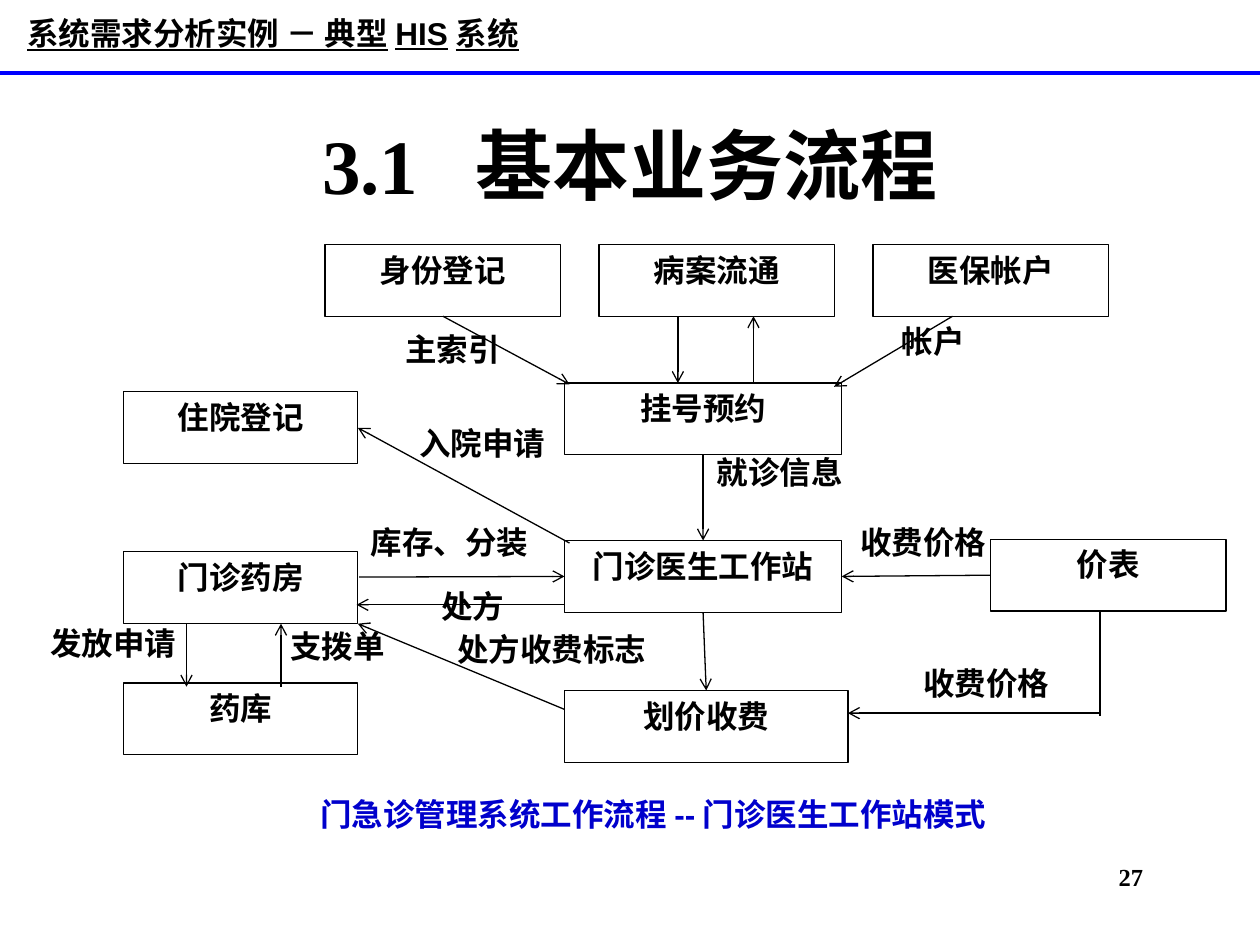
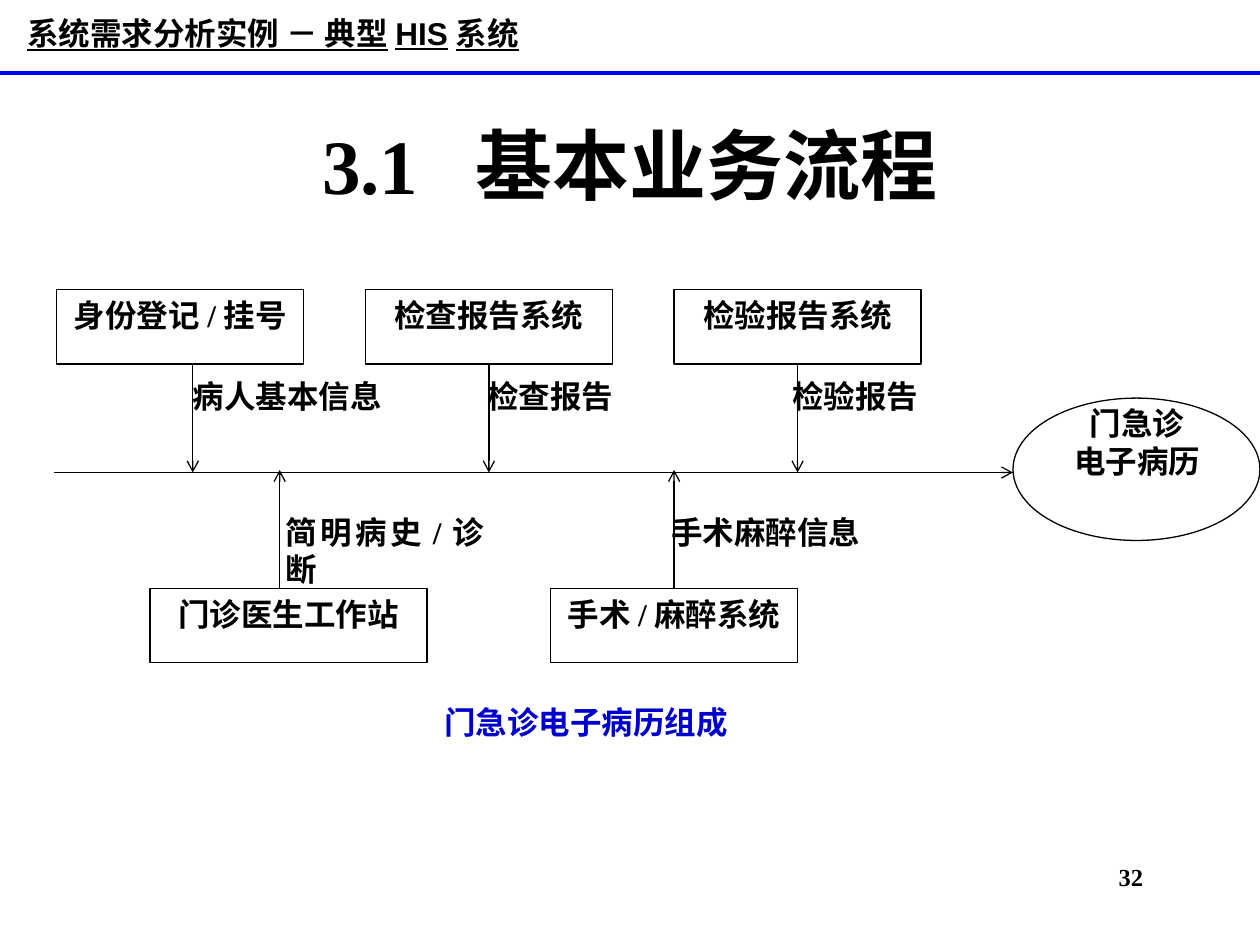
from dataclasses import dataclass
from typing import NamedTuple, Optional, Union

from lxml.etree import SubElement
from pptx import Presentation
from pptx.dml.color import RGBColor
from pptx.enum.shapes import MSO_CONNECTOR, MSO_SHAPE
from pptx.enum.text import MSO_ANCHOR, PP_ALIGN
from pptx.oxml.ns import qn
from pptx.util import Inches, Pt

BLACK, RULE_BLUE, CAPTION_BLUE = "000000", "0000FF", "0000CC"
SERIF, SANS = "Times New Roman", "Arial"
LEFT, CENTER, RIGHT, JUSTIFY = (
    PP_ALIGN.LEFT, PP_ALIGN.CENTER, PP_ALIGN.RIGHT, PP_ALIGN.JUSTIFY)
TOP_SIDE, LEFT_SIDE, BOTTOM_SIDE, RIGHT_SIDE = range(4)

HEADER = "系统需求分析实例 － 典型HIS系统"
TITLE = "3.1  基本业务流程"


class Point(NamedTuple):
    x: float
    y: float


class Joint(NamedTuple):
    """The middle of one side of a named box."""
    box: str
    side: int


@dataclass(frozen=True)
class FlowBox:
    text: str
    left: float
    top: float
    width: float
    height: float = 0.57


@dataclass(frozen=True)
class Label:
    text: str
    left: float
    top: float
    width: float
    align: PP_ALIGN = JUSTIFY
    height: float = 0.5


@dataclass(frozen=True)
class Link:
    start: Union[Point, Joint]
    end: Union[Point, Joint]
    arrow: bool = True


def color(value: str) -> RGBColor:
    return RGBColor.from_string(value)


def add_span(para, text: str, *, size: float = 18, font: str = SERIF,
             fill: str = BLACK, underline: Optional[bool] = None) -> None:
    span = para.add_run()
    span.text = text
    span.font.name = font
    span.font.size = Pt(size)
    span.font.bold = True
    span.font.underline = underline
    span.font.color.rgb = color(fill)


def add_text(page, text: str, left: float, top: float, width: float, height: float, *,
             align: PP_ALIGN = CENTER, anchor: MSO_ANCHOR = MSO_ANCHOR.TOP,
             wrap: bool = True, **span_format):
    """Add a text box, one paragraph per line, and return its last paragraph."""
    box = page.shapes.add_textbox(*map(Inches, (left, top, width, height)))
    frame = box.text_frame
    frame.word_wrap = wrap
    frame.vertical_anchor = anchor
    for index, line in enumerate(text.split("\n")):
        para = frame.add_paragraph() if index else frame.paragraphs[0]
        para.alignment = align
        add_span(para, line, **span_format)
    return para


def add_outline(page, kind: MSO_SHAPE, left: float, top: float,
                width: float, height: float):
    shape = page.shapes.add_shape(kind, *map(Inches, (left, top, width, height)))
    shape.shadow.inherit = False
    shape.fill.background()
    shape.line.color.rgb = color(BLACK)
    shape.line.width = Pt(0.75)
    return shape


def add_flow_box(page, item: FlowBox):
    box = add_outline(page, MSO_SHAPE.RECTANGLE,
                      item.left, item.top, item.width, item.height)
    frame = box.text_frame
    frame.word_wrap = True
    frame.vertical_anchor = MSO_ANCHOR.TOP
    para = frame.paragraphs[0]
    para.alignment = CENTER
    add_span(para, item.text)
    return box


def add_line(page, start: Point, end: Point, *, fill: str = BLACK,
             width: float = 0.75, arrow: bool = False):
    line = page.shapes.add_connector(
        MSO_CONNECTOR.STRAIGHT, *map(Inches, (*start, *end)))
    line.line.color.rgb = color(fill)
    line.line.width = Pt(width)
    properties = line._element.spPr
    if arrow:
        SubElement(properties.find(qn("a:ln")), qn("a:tailEnd"), type="arrow")
    SubElement(properties, qn("a:effectLst"))
    return line


def add_link(page, link: Link, boxes: dict) -> None:
    """Draw a line, joining each end that names a box."""
    ends = [Point(0, 0) if isinstance(end, Joint) else end
            for end in (link.start, link.end)]
    line = add_line(page, *ends, arrow=link.arrow)
    if isinstance(link.start, Joint):
        line.begin_connect(boxes[link.start.box], link.start.side)
    if isinstance(link.end, Joint):
        line.end_connect(boxes[link.end.box], link.end.side)


def add_page(deck, number: int):
    """Add a slide with the shared header, rule, title and page number."""
    page = deck.slides.add_slide(deck.slide_layouts[6])
    add_line(page, Point(0, 0.58), Point(10, 0.58), fill=RULE_BLUE, width=2.25)
    add_text(page, HEADER, 0.04, 0.08, 4.25, 0.36, anchor=MSO_ANCHOR.MIDDLE,
             wrap=False, font=SANS, underline=True)
    add_text(page, TITLE, 0.75, 0.67, 8.5, 1.25, anchor=MSO_ANCHOR.MIDDLE, size=44)
    add_text(page, str(number), 7.09, 6.79, 2.08, 0.5, align=RIGHT, size=14)
    return page


def add_diagram(page, flow_boxes: list, labels: list, links: list) -> None:
    for label in labels:
        add_text(page, label.text, label.left, label.top, label.width,
                 label.height, align=label.align)
    boxes = {item.text: add_flow_box(page, item) for item in flow_boxes}
    for link in links:
        add_link(page, link, boxes)


def build_clinic_flow(deck) -> None:
    page = add_page(deck, 27)
    sources = ["身份登记", "病案流通", "医保帐户"]
    flow_boxes = [FlowBox(text, 2.58 + 2.175 * column, 1.94, 1.87)
                  for column, text in enumerate(sources)]
    flow_boxes += [FlowBox(text, 0.98, top, 1.86) for text, top in
                   [("住院登记", 3.11), ("门诊药房", 4.38), ("药库", 5.42)]]
    flow_boxes += [FlowBox(text, 4.48, top, width) for text, top, width in
                   [("挂号预约", 3.04, 2.2), ("门诊医生工作站", 4.29, 2.2),
                    ("划价收费", 5.48, 2.25)]]
    flow_boxes.append(FlowBox("价表", 7.86, 4.28, 1.87))
    labels = [
        Label("主索引", 2.81, 2.57, 1.56, CENTER),
        Label("帐户", 7.06, 2.51, 1.24),
        Label("入院申请", 3.23, 3.32, 1.34),
        Label("就诊信息", 5.59, 3.55, 1.34),
        Label("库存、分装", 2.81, 4.1, 1.48, RIGHT),
        Label("处方", 3.23, 4.61, 0.87, RIGHT),
        Label("收费价格", 6.73, 4.1, 1.25),
        Label("发放申请", 0.27, 4.9, 1.26, CENTER),
        Label("支拨单", 2.1, 4.93, 1.05, RIGHT),
        Label("处方收费标志", 3.53, 4.95, 1.75),
        Label("收费价格", 7.23, 5.22, 1.25),
    ]
    links = [
        Link(Joint("身份登记", BOTTOM_SIDE), Point(4.52, 3.05)),
        Link(Point(5.38, 2.51), Point(5.38, 3.04)),
        Link(Point(5.98, 3.04), Point(5.98, 2.51)),
        Link(Point(7.56, 2.51), Point(6.62, 3.07)),
        Link(Joint("挂号预约", BOTTOM_SIDE), Joint("门诊医生工作站", TOP_SIDE)),
        Link(Joint("门诊医生工作站", BOTTOM_SIDE), Joint("划价收费", TOP_SIDE)),
        Link(Point(4.52, 4.31), Joint("住院登记", RIGHT_SIDE)),
        Link(Point(2.85, 4.58), Joint("门诊医生工作站", LEFT_SIDE)),
        Link(Point(4.48, 4.8), Point(2.83, 4.8)),
        Link(Joint("价表", LEFT_SIDE), Joint("门诊医生工作站", RIGHT_SIDE)),
        Link(Point(1.48, 4.95), Point(1.48, 5.45)),
        Link(Point(2.23, 5.45), Point(2.23, 4.95)),
        Link(Point(4.48, 5.63), Point(2.84, 4.95)),
        Link(Point(8.73, 4.85), Point(8.73, 5.68), arrow=False),
        Link(Point(8.73, 5.66), Point(6.73, 5.66)),
    ]
    add_diagram(page, flow_boxes, labels, links)
    caption = add_text(page, "门急诊管理系统工作流程", 1.98, 6.26, 6.41, 0.56,
                       fill=CAPTION_BLUE)
    add_span(caption, "--门诊医生工作站模式", font=SANS, fill=CAPTION_BLUE)


def build_record_contents(deck) -> None:
    page = add_page(deck, 32)
    axis_y, upper_bottom, lower_top, height = 3.75, 2.89, 4.67, 0.59
    reports = ["身份登记/挂号", "检查报告系统", "检验报告系统"]
    flow_boxes = [FlowBox(text, 0.45 + 2.45 * column, 2.3, 1.96, height)
                  for column, text in enumerate(reports)]
    flow_boxes += [FlowBox("门诊医生工作站", 1.19, lower_top, 2.2, height),
                   FlowBox("手术/麻醉系统", 4.37, lower_top, 1.96, height)]
    labels = [
        Label("病人基本信息", 1.43, 2.94, 1.71),
        Label("检查报告", 3.77, 2.94, 1.71),
        Label("检验报告", 6.19, 2.94, 1.71),
        Label("简明病史/诊断", 2.17, 4.02, 1.77),
        Label("手术麻醉信息", 5.23, 4.02, 1.77),
        Label("门急诊\n电子病历", 8.29, 3.16, 1.47, CENTER, 1.08),
    ]
    links = [
        Link(Point(0.43, axis_y), Point(8.04, axis_y)),
        Link(Point(1.53, upper_bottom), Point(1.53, axis_y)),
        Link(Joint("检查报告系统", BOTTOM_SIDE), Point(3.88, axis_y)),
        Link(Joint("检验报告系统", BOTTOM_SIDE), Point(6.33, axis_y)),
        Link(Point(2.22, lower_top), Point(2.22, axis_y - 0.02)),
        Link(Joint("手术/麻醉系统", TOP_SIDE), Point(5.35, axis_y - 0.02)),
    ]
    add_diagram(page, flow_boxes, labels, links)
    add_outline(page, MSO_SHAPE.OVAL, 8.04, 3.16, 1.96, 1.13)
    add_text(page, "门急诊电子病历组成", 1.51, 5.53, 6.28, 0.58, fill=CAPTION_BLUE)


def main() -> None:
    deck = Presentation()
    deck.slide_width, deck.slide_height = Inches(10), Inches(7.5)
    build_clinic_flow(deck)
    build_record_contents(deck)
    deck.save("out.pptx")


if __name__ == "__main__":
    main()
